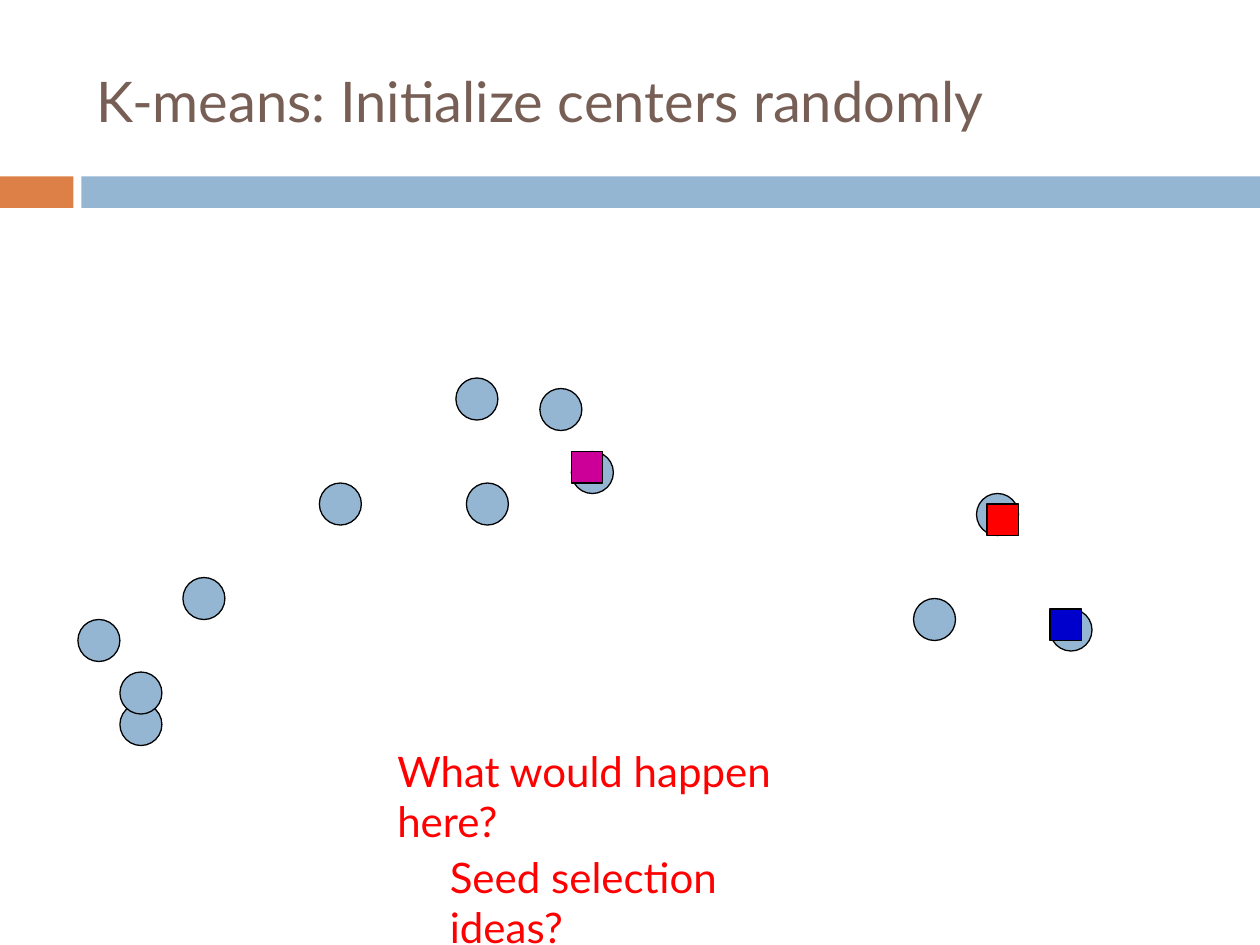
from pptx import Presentation
from pptx.dml.color import RGBColor
from pptx.enum.shapes import MSO_SHAPE
from pptx.enum.text import MSO_ANCHOR, MSO_AUTO_SIZE, PP_ALIGN
from pptx.util import Pt

RECT, OVAL = MSO_SHAPE.RECTANGLE, MSO_SHAPE.OVAL
TITLE_ONLY = 5
FONT = "Lato"
COLORS = {
    "title": "775F55",
    "orange": "DD8047",
    "blue": "94B6D2",
    "outline": "000000",
    "navy": "0000CC",
    "red": "FF0000",
    "magenta": "CC0099",
}
DOT, CENTER = 24, 18

prs = Presentation()
prs.slide_width, prs.slide_height = Pt(720), Pt(540)
s = prs.slides.add_slide(prs.slide_layouts[TITLE_ONLY])


def add_shape(kind, left, top, width, height, color, outlined=True):
    sp = s.shapes.add_shape(kind, Pt(left), Pt(top), Pt(width), Pt(height))
    sp.shadow.inherit = False
    sp.fill.solid()
    sp.fill.fore_color.rgb = RGBColor.from_string(COLORS[color])
    if outlined:
        sp.line.color.rgb = RGBColor.from_string(COLORS["outline"])
        sp.line.width = Pt(0.75)
    else:
        sp.line.fill.background()


def set_text(sp, text, size, color, anchor):
    tf = sp.text_frame
    tf.text = text
    tf.word_wrap = True
    tf.auto_size = MSO_AUTO_SIZE.NONE
    tf.vertical_anchor = anchor
    p = tf.paragraphs[0]
    p.alignment = PP_ALIGN.LEFT
    font = p.runs[0].font
    font.name, font.size = FONT, Pt(size)
    font.color.rgb = RGBColor.from_string(COLORS[color])


# Title and the band below it
title = s.shapes.title
title.left, title.top, title.width, title.height = Pt(48), Pt(18), Pt(642), Pt(78)
set_text(title, "K-means: Initialize centers randomly", 32, "title", MSO_ANCHOR.MIDDLE)
add_shape(RECT, 0, 100.8, 42, 18, "orange", outlined=False)
add_shape(RECT, 46.5, 100.8, 673.5, 18, "blue", outlined=False)

# Data points
points = [
    (68.5, 402), (44.5, 354), (104.5, 330), (558, 282), (260.5, 216), (308.5, 222),
    (266.5, 276), (182.5, 276), (600, 348), (326.5, 258), (68.5, 384), (522, 342),
]
for left, top in points:
    add_shape(OVAL, left, top, DOT, DOT, "blue")

# Initial cluster centers
centers = [(600, 348, "navy"), (564, 288, "red"), (326.5, 258, "magenta")]
for left, top, color in centers:
    add_shape(RECT, left, top, CENTER, CENTER, color)

# Questions
questions = [
    ("What would happen here?", 220, 422.5, 272),
    ("Seed selection ideas?", 250, 483, 221),
]
for text, left, top, width in questions:
    box = s.shapes.add_textbox(Pt(left), Pt(top), Pt(width), Pt(36))
    set_text(box, text, 24, "red", MSO_ANCHOR.TOP)

prs.save("out.pptx")
